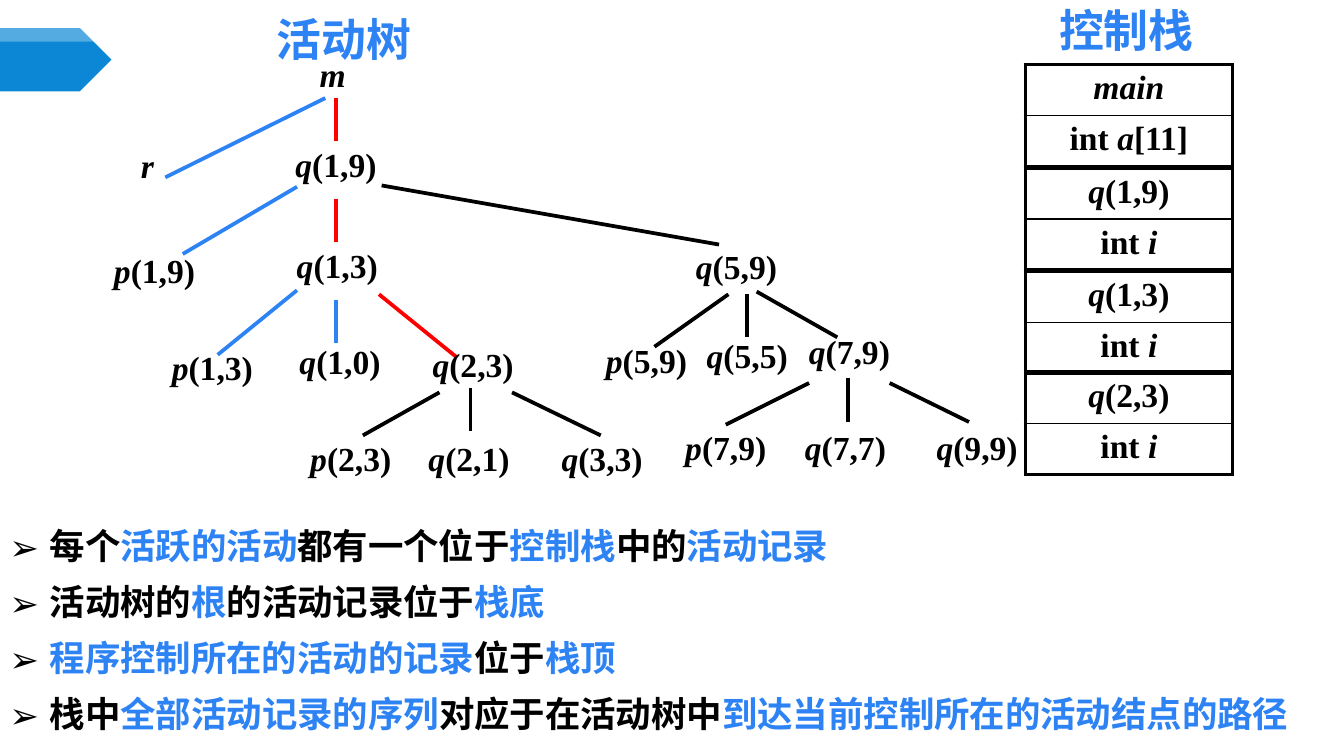
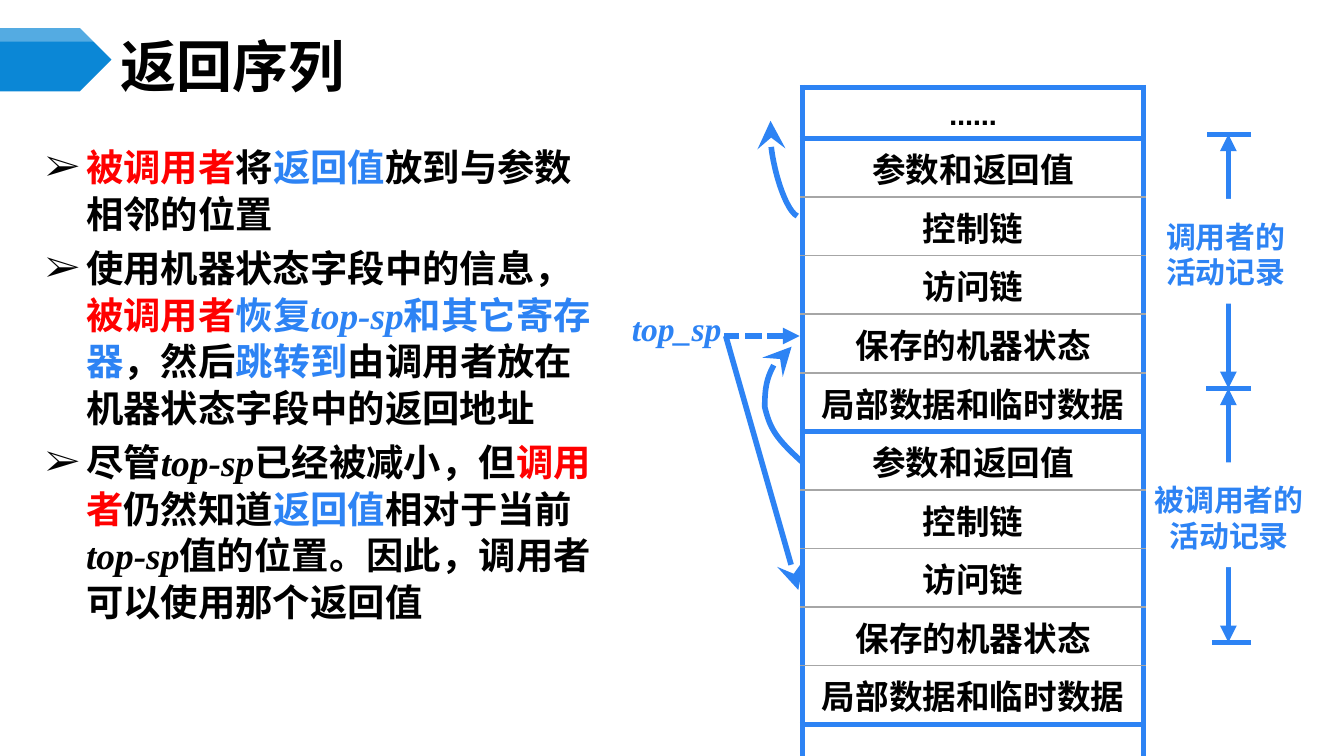
import lxml.etree
import pptx
import pptx.dml.color
import pptx.enum.dml
import pptx.enum.shapes
import pptx.enum.text
import pptx.oxml.ns
import pptx.util

PX = 9144  # one px is a hundredth of an inch
COLORS = {"black": "000000", "white": "FFFFFF", "blue": "2D83F4",
          "red": "FF0000", "band": "0B87D6", "grey": "A6A6A6"}
CJK, SERIF, SANS = "Noto Sans CJK SC", "Times New Roman", "Cabin"
SHAPE = pptx.enum.shapes.MSO_SHAPE
ALIGN = pptx.enum.text.PP_ALIGN
MIDDLE = pptx.enum.text.MSO_ANCHOR.MIDDLE
qn = pptx.oxml.ns.qn


# Shared helpers
def px(*values):
    return [pptx.util.Emu(int(v * PX)) for v in values]


def rgb(color):
    return pptx.dml.color.RGBColor.from_string(COLORS[color])


def add_xml(parent, tag, **attrs):
    return lxml.etree.SubElement(parent, qn(tag), attrs)


def write(p, parts, size, color="black", name=CJK, align=None, ea=CJK):
    """Fill a paragraph; a part is a text or a (text, style words) pair."""
    p.alignment = align
    font = p.font
    font.size, font.bold, font.name = pptx.util.Pt(size), True, name
    font.color.rgb = rgb(color)
    font._element.find(qn("a:latin")).addnext(
        lxml.etree.Element(qn("a:ea"), typeface=ea))
    for part in parts:
        text, style = (part, "") if isinstance(part, str) else part
        r = p.add_run()
        r.text = text
        for word in style.split():
            if word == "italic":
                r.font.italic = True
            else:
                r.font.color.rgb = rgb(word)


def set_frame(tf, margins, anchor=None):
    tf.word_wrap = True
    tf.margin_left, tf.margin_top, tf.margin_right, tf.margin_bottom = px(*margins)
    if anchor is not None:
        tf.vertical_anchor = anchor


def add_text(slide, box, parts, size, margins=(10, 5, 10, 5), anchor=None, **style):
    tf = slide.shapes.add_textbox(*px(*box)).text_frame
    set_frame(tf, margins, anchor)
    write(tf.paragraphs[0], parts, size, **style)


def add_bullets(slide, box, items, size, spacing, name, gap=0):
    tf = slide.shapes.add_textbox(*px(*box)).text_frame
    set_frame(tf, (7, 4, 7, 4))
    for i, parts in enumerate(items):
        p = tf.add_paragraph() if i else tf.paragraphs[0]
        pPr = p._p.get_or_add_pPr()
        pPr.set("marL", str(30 * PX))
        pPr.set("indent", str(-30 * PX))
        add_xml(add_xml(pPr, "a:buClr"), "a:srgbClr", val=COLORS["black"])
        add_xml(pPr, "a:buFont", typeface=name)
        add_xml(pPr, "a:buChar", char="➢")
        p.line_spacing = pptx.util.Pt(spacing)
        if i and gap:
            p.space_before = pptx.util.Pt(gap)
        write(p, parts, size, name=name)


def style_line(sp, color, width, head=None, tail=None, dash=None):
    sp.line.color.rgb = rgb(color)
    sp.line.width = pptx.util.Pt(width)
    if dash:
        sp.line.dash_style = dash
    ln = sp.line._get_or_add_ln()
    for tag, kind in (("a:headEnd", head), ("a:tailEnd", tail)):
        if kind:
            size = "lg" if kind == "stealth" else "med"
            add_xml(ln, tag, type=kind, w=size, len=size)


def add_line(slide, origin, ends, color, width, **arrows):
    x, y = origin
    x1, y1, x2, y2 = ends
    sp = slide.shapes.add_connector(pptx.enum.shapes.MSO_CONNECTOR.STRAIGHT,
                                    *px(x + x1, y + y1, x + x2, y + y2))
    style_line(sp, color, width, **arrows)
    add_xml(sp._element.spPr, "a:effectLst")


def add_block(slide, kind, box, fill):
    sp = slide.shapes.add_shape(kind, *px(*box))
    sp.shadow.inherit = False
    sp.fill.solid()
    sp.fill.fore_color.rgb = rgb(fill)
    sp.line.fill.background()
    return sp


def add_cells(slide, box, heights, rows, borders, name):
    """One-column table; borders[i] is the (colour, width) above row i."""
    x, y, w, side = box
    table = slide.shapes.add_table(len(rows), 1, *px(x, y, w, sum(heights))).table
    table.first_row = table.horz_banding = False
    for i, parts in enumerate(rows):
        table.rows[i].height = px(heights[i])[0]
        cell = table.cell(i, 0)
        cell.fill.background()
        cell.margin_left, cell.margin_top, cell.margin_right, cell.margin_bottom = px(8, 4, 8, 4)
        ea = name if parts == ["……"] else CJK
        write(cell.text_frame.paragraphs[0], parts, 18, name=name, ea=ea, align=ALIGN.CENTER)
        tcPr = cell._tc.get_or_add_tcPr()
        edges = zip("LRTB", (side, side, borders[i], borders[i + 1]))
        for n, (edge, (color, width)) in enumerate(edges):
            ln = lxml.etree.Element(qn("a:ln" + edge), w=str(pptx.util.Pt(width)))
            add_xml(add_xml(ln, "a:solidFill"), "a:srgbClr", val=COLORS[color])
            tcPr.insert(n, ln)


def new_slide(prs):
    slide = prs.slides.add_slide(prs.slide_layouts[6])
    add_block(slide, SHAPE.PENTAGON, (0, 21, 83, 47), "band")
    shine = add_block(slide, SHAPE.PENTAGON, (0, 21, 83, 10), "white")
    add_xml(shine._element.spPr.find(".//" + qn("a:srgbClr")), "a:alpha", val="30000")
    return slide


def call(text):
    return [(text[0], "italic"), text[1:]] if text[1:] else [(text, "italic")]


# Slide 1: activation tree
NODES = [("m", 153, 0), ("q(1,9)", 135, 67), ("r", 20, 68),
         ("p(1,9)", 0, 146), ("q(1,3)", 136, 142), ("q(5,9)", 433, 143),
         ("p(1,3)", 43, 218), ("q(1,0)", 138, 214), ("q(2,3)", 237, 216),
         ("p(5,9)", 366, 213), ("q(5,5)", 441, 209), ("q(7,9)", 517, 206),
         ("p(2,3)", 146, 286), ("q(2,1)", 234, 286), ("q(3,3)", 333, 286),
         ("p(7,9)", 425, 278), ("q(7,7)", 514, 278), ("q(9,9)", 612, 278)]
EDGES = {
    "red": [(175, 38, 175, 70), (175, 113, 175, 145), (207, 184, 265, 231)],
    "blue": [(167, 38, 48, 97), (146, 104, 61, 154), (146, 181, 87, 229),
             (175, 188, 175, 220)],
    "black": [(209, 103, 460, 147),
              (252, 257, 195, 289), (275, 254, 275, 286), (306, 257, 372, 289),
              (467, 184, 412, 223), (481, 184, 481, 216), (488, 182, 548, 216),
              (527, 250, 465, 281), (556, 246, 556, 279), (587, 250, 646, 279)],
}


def add_heading(slide, box, text):
    add_text(slide, box, [text], 24, margins=(7, 4, 7, 4), color="blue", align=ALIGN.CENTER)


def add_tree(slide, x, y):
    add_heading(slide, (x + 66, y - 30, 230, 48), "活动树")
    for color, edges in EDGES.items():
        for ends in edges:
            add_line(slide, (x, y), ends, color, 2)
    for text, dx, dy in NODES:
        box = (94, 57) if text[1:] else (48, 49)
        add_text(slide, (x + dx, y + dy, *box), call(text), 18, name=SERIF)


def add_control_stack(slide, x, y, w):
    add_heading(slide, (x - 3, y - 50, w + 2, 48), "控制栈")
    local = ["int ", ("i", "italic")]
    frames = [(0, [("main", "italic")], ["int ", ("a", "italic"), "[11]"]),
              (77, call("q(1,9)"), local),
              (154, call("q(1,3)"), local),
              (229, call("q(2,3)"), local)]
    thick, thin = ("black", 2.25), ("black", 1)
    for dy, *rows in frames:
        add_cells(slide, (x, y + dy, w, thick), [75 / 2] * 2, rows,
                  (thick, thin, thick), SERIF)


def build_tree_slide(prs):
    slide = new_slide(prs)
    add_tree(slide, 75, 35)
    add_control_stack(slide, 763, 48, 154)
    add_bullets(slide, (0, 376, 988, 176), [
        ["每个", ("活跃的活动", "blue"), "都有一个位于", ("控制栈", "blue"),
         "中的", ("活动记录", "blue")],
        ["活动树的", ("根", "blue"), "的活动记录位于", ("栈底", "blue")],
        [("程序控制所在的活动的记录", "blue"), "位于", ("栈顶", "blue")],
        ["栈中", ("全部活动记录的序列", "blue"), "对应于在活动树中",
         ("到达当前控制所在的活动结点的路径", "blue")],
    ], 19, 30, CJK)


# Slide 2: return sequence
RECORD = ["参数和返回值", "控制链", "访问链", "保存的机器状态", "局部数据和临时数据"]


def add_record_stack(slide, x, y, w):
    rows = [[t] for t in ["……", *RECORD, *RECORD, "……"]]
    thick, thin = ("blue", 3), ("grey", 1)
    borders = [thick] + [thick if i % 5 == 0 else thin for i in range(11)] + [thick]
    add_cells(slide, (x, y, w, thick), [38] + [436 / 10] * 11, rows, borders, SANS)


def add_curve(slide, x, y, points):
    """Cubic curve through control points, with an arrow at its end."""
    points = [(x + dx, y + dy) for dx, dy in points]
    builder = slide.shapes.build_freeform(*points[0], scale=PX)
    builder.add_line_segments(points[1:], close=False)
    sp = builder.convert_to_shape()
    sp.shadow.inherit = False
    sp.fill.background()
    style_line(sp, "blue", 3, tail="stealth")
    steps = sp._element.findall(".//" + qn("a:lnTo"))
    for i in range(0, len(steps), 3):
        bezier = lxml.etree.Element(qn("a:cubicBezTo"))
        steps[i].addprevious(bezier)
        for step in steps[i:i + 3]:
            bezier.append(step[0])
            step.getparent().remove(step)


def add_pointers(slide, x, y):
    """Links left of the stack; (x, y) is the tail of top_sp."""
    add_line(slide, (x, y), (54, 189, 0, 0), "blue", 3, head="stealth")
    arc = slide.shapes.add_shape(SHAPE.ARC, *px(x + 36, y - 170, 21, 82))
    arc.shadow.inherit = False
    arc.fill.background()
    arc.adjustments[0], arc.adjustments[1] = 168.31, 52.3
    arc.rotation = 167.6
    arc._element.spPr.find(qn("a:xfrm")).set("flipV", "1")
    style_line(arc, "blue", 3, head="stealth")
    add_curve(slide, x, y, [(57, 94), (37, 76), (33, 69), (29, 53),
                            (29, 38), (33, 16), (49, 8)])
    add_line(slide, (x, y), (55, 0, -1, 0), "blue", 3, head="triangle",
             dash=pptx.enum.dml.MSO_LINE.SQUARE_DOT)
    add_text(slide, (x - 87, y - 30, 101, 59), [("top_sp", "italic")], 18,
             margins=(10, 9, 10, 5), color="blue", name=SERIF, align=ALIGN.CENTER)


def add_spans(slide, x, y, span):
    """Two dimension arrows down the axis x, each with a label over it."""
    for i, left in enumerate((-16, -17, -12)):
        add_line(slide, (x, y + i * span), (17, 0, left, 0), "blue", 3)
    labels = [("调用者的活动记录", 48, 116, 10), ("被调用者的活动记录", 55, 121, 0)]
    for i, (text, dy, w, pad) in enumerate(labels):
        top = y + i * span
        add_line(slide, (x, top), (0, span, 0, 0), "blue", 3, head="triangle", tail="triangle")
        sp = add_block(slide, SHAPE.RECTANGLE, (x - 60, top + dy, w, 78), "white")
        set_frame(sp.text_frame, (pad, 9, pad, 5), MIDDLE)
        write(sp.text_frame.paragraphs[0], [text], 16, color="blue", align=ALIGN.CENTER)


def build_return_slide(prs):
    slide = new_slide(prs)
    add_text(slide, (83, 29, 867, 39), ["返回序列"], 30, margins=(7, 4, 7, 4), anchor=MIDDLE)
    add_bullets(slide, (27, 102, 422, 353), [
        [("被调用者", "red"), "将", ("返回值", "blue"), "放到与参数相邻的位置"],
        ["使用机器状态字段中的信息，", ("被调用者", "red"), ("恢复", "blue"),
         ("top-sp", "blue italic"), ("和其它寄存器", "blue"), "，然后",
         ("跳转到", "blue"), "由调用者放在机器状态字段中的返回地址"],
        ["尽管", ("top-sp", "italic"), "已经被减小，但", ("调用者", "red"),
         "仍然知道", ("返回值", "blue"), "相对于当前", ("top-sp", "italic"),
         "值的位置。因此，调用者可以使用那个返回值"],
    ], 20, 25, SERIF, gap=4)
    add_record_stack(slide, 597, 65, 254)
    add_pointers(slide, 540, 250)
    add_spans(slide, 914, 100, 189)


def main():
    prs = pptx.Presentation()
    prs.slide_width, prs.slide_height = px(1000, 1000 * 9 / 16)
    build_tree_slide(prs)
    build_return_slide(prs)
    prs.save("out.pptx")


if __name__ == "__main__":
    main()
